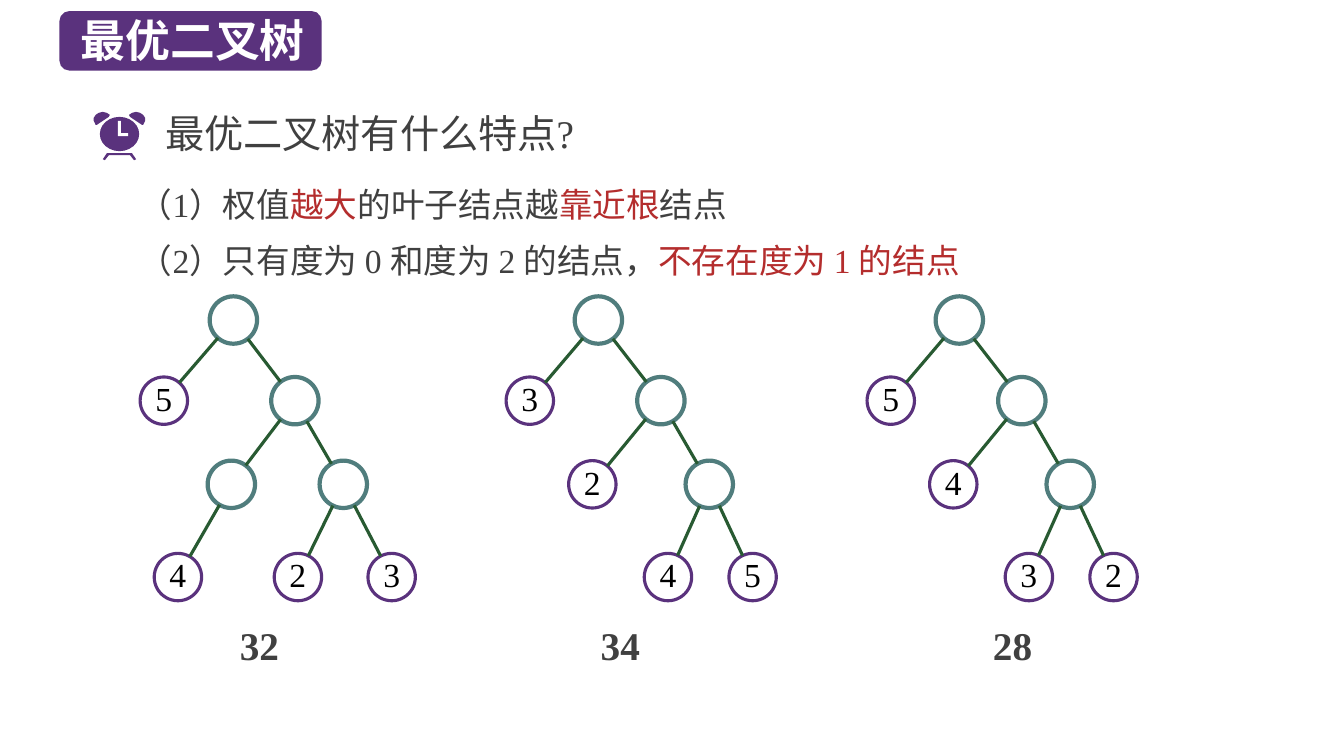
import math

from lxml import etree
from pptx import Presentation
from pptx import util as u
from pptx.dml import color
from pptx.enum import shapes, text
from pptx.oxml import ns

PX = 9144
PURPLE, TEAL, GREEN = "5A327D", "507D7D", "285A32"
GRAY, RED, WHITE, BLACK = "404040", "B42D2D", "FFFFFF", "000000"
LATIN, CJK = "Times New Roman", "Noto Sans CJK SC"
NODE = 47
LEVELS = [294, 374, 457, 549]

UNBALANCED = [
    (0, 0, None, ""), (-69, 1, 0, "5"), (61, 1, 0, ""),
    (-2, 2, 2, ""), (109, 2, 2, ""),
    (-55, 3, 3, "4"), (64, 3, 4, "2"), (157, 3, 4, "3"),
]


def chain(first, second, third, fourth):
    return [
        (0, 0, None, ""), (-68, 1, 0, first), (62, 1, 0, ""),
        (-6, 2, 2, second), (110, 2, 2, ""),
        (69, 3, 4, third), (153, 3, 4, fourth),
    ]


TREES = [
    (208, UNBALANCED),
    (570, chain("3", "2", "4", "5")),
    (928, chain("5", "4", "3", "2")),
]


def px(*lengths):
    return [u.Emu(round(length * PX)) for length in lengths]


def rgb(value):
    return color.RGBColor.from_string(value)


def add_run(paragraph, wording, size, ink, bold=False, font=LATIN):
    run = paragraph.add_run()
    run.text = wording
    run.font.size = u.Pt(size)
    run.font.bold = bold
    run.font.color.rgb = rgb(ink)
    run.font.name = font
    etree.SubElement(run.font._element, ns.qn("a:ea"), typeface=CJK)


def add_line_of_text(slide, box, runs, size, bold=False, spacing=None, tabs=()):
    frame = slide.shapes.add_textbox(*px(*box)).text_frame
    frame.word_wrap = True
    paragraph = frame.paragraphs[0]
    if spacing:
        paragraph.line_spacing = u.Pt(spacing)
    if tabs:
        stops = etree.SubElement(paragraph._p.get_or_add_pPr(), ns.qn("a:tabLst"))
        for stop in tabs:
            etree.SubElement(stops, ns.qn("a:tab"), pos=str(stop * PX), algn="l")
    for wording, ink in runs:
        add_run(paragraph, wording, size, ink, bold)


def paint(shape, fill):
    shape.shadow.inherit = False
    shape.fill.solid()
    shape.fill.fore_color.rgb = rgb(fill)
    shape.line.fill.background()


def add_outline(group, points, fill):
    builder = group.shapes.build_freeform(*points[0], scale=float(PX))
    builder.add_line_segments(points[1:], close=True)
    paint(builder.convert_to_shape(), fill)


def add_clock(slide):
    clock = slide.shapes.add_group_shape()
    feet = [(102, 158), (106, 152), (131, 152), (135, 158), (133, 159),
            (129, 154), (108, 154), (104, 159)]
    bell = [(102, 111), (98, 112), (95, 114), (93, 117), (93, 120), (95, 124),
            (96, 124), (108, 116), (109, 114), (106, 112)]
    hands = [(117, 120), (120, 120), (120, 132), (127, 132), (127, 135), (117, 135)]
    add_outline(clock, feet, PURPLE)
    add_outline(clock, bell, PURPLE)
    add_outline(clock, [(237 - x, y) for x, y in bell], PURPLE)
    face = clock.shapes.add_shape(shapes.MSO_SHAPE.OVAL, *px(99, 116, 39, 34))
    paint(face, PURPLE)
    add_outline(clock, hands, WHITE)


def add_node(group, left, top, weight):
    node = group.shapes.add_shape(shapes.MSO_SHAPE.OVAL, *px(left, top, NODE, NODE))
    node.shadow.inherit = False
    node.fill.background()
    node.line.color.rgb = rgb(PURPLE if weight else TEAL)
    node.line.width = u.Pt(2.25 if weight else 3)
    if weight:
        frame = node.text_frame
        frame.margin_left = frame.margin_top = 0
        frame.margin_right = frame.margin_bottom = 0
        frame.vertical_anchor = text.MSO_ANCHOR.MIDDLE
        paragraph = frame.paragraphs[0]
        paragraph.alignment = text.PP_ALIGN.CENTER
        paragraph.line_spacing = u.Pt(25)
        add_run(paragraph, weight, 24, BLACK)


def add_edge(group, parent, child):
    radius = NODE / 2
    dx, dy = child[0] - parent[0], child[1] - parent[1]
    trim = radius / math.hypot(dx, dy)
    ends = [(parent[0] + radius + dx * part, parent[1] + radius + dy * part)
            for part in (trim, 1 - trim)]
    edge = group.shapes.add_connector(
        shapes.MSO_CONNECTOR.STRAIGHT, *px(*ends[0], *ends[1]))
    edge.line.color.rgb = rgb(GREEN)
    edge.line.width = u.Pt(2.25)
    etree.SubElement(edge._element.spPr, ns.qn("a:effectLst"))


def add_tree(slide, root_left, nodes):
    tree = slide.shapes.add_group_shape()
    corners = [(root_left + dx, LEVELS[level]) for dx, level, _, _ in nodes]
    for corner, node in zip(corners, nodes):
        add_node(tree, *corner, node[3])
    for corner, node in zip(corners, nodes):
        if node[2] is not None:
            add_edge(tree, corners[node[2]], corner)


def add_title(slide, wording):
    badge = slide.shapes.add_shape(
        shapes.MSO_SHAPE.ROUNDED_RECTANGLE, *px(59, 11, 260, 59))
    paint(badge, PURPLE)
    title = slide.shapes.title
    title._element.addprevious(badge._element)
    title.left, title.top, title.width, title.height = px(70, 7, 249, 64)
    frame = title.text_frame
    frame.margin_top = frame.margin_bottom = 0
    frame.auto_size = text.MSO_AUTO_SIZE.NONE
    frame.vertical_anchor = text.MSO_ANCHOR.MIDDLE
    paragraph = frame.paragraphs[0]
    paragraph.alignment = text.PP_ALIGN.LEFT
    add_run(paragraph, wording, 32, WHITE, bold=True, font=CJK)


def main():
    deck = Presentation()
    deck.slide_width, deck.slide_height = px(1333, 750)
    slide = deck.slides.add_slide(deck.slide_layouts[5])
    add_title(slide, "最优二叉树")
    add_line_of_text(slide, (154, 104, 976, 57), [("最优二叉树有什么特点?", GRAY)], 28)
    add_clock(slide)
    add_line_of_text(slide, (128, 169, 1129, 63), [
        ("（1）权值", GRAY), ("越大", RED), ("的叶子结点越", GRAY),
        ("靠近根", RED), ("结点", GRAY)], 24, spacing=35)
    add_line_of_text(slide, (128, 224, 1129, 57), [
        ("（2）只有度为 0 和度为 2 的结点，", GRAY),
        ("不存在度为 1 的结点", RED)], 24, spacing=35)
    add_line_of_text(slide, (228, 611, 911, 57), [("32\t34\t28", GRAY)], 28,
                     bold=True, tabs=(358, 747))
    for root_left, nodes in TREES:
        add_tree(slide, root_left, nodes)
    deck.save("out.pptx")


if __name__ == "__main__":
    main()
